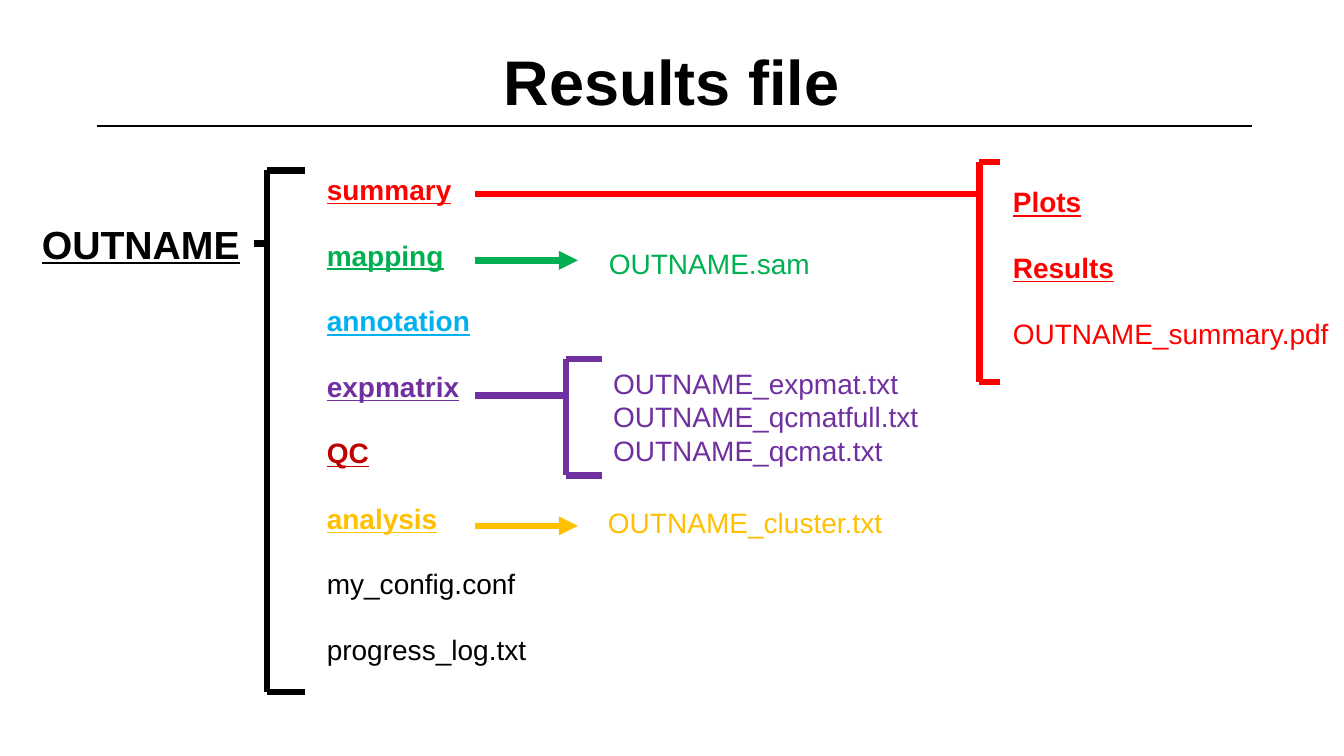
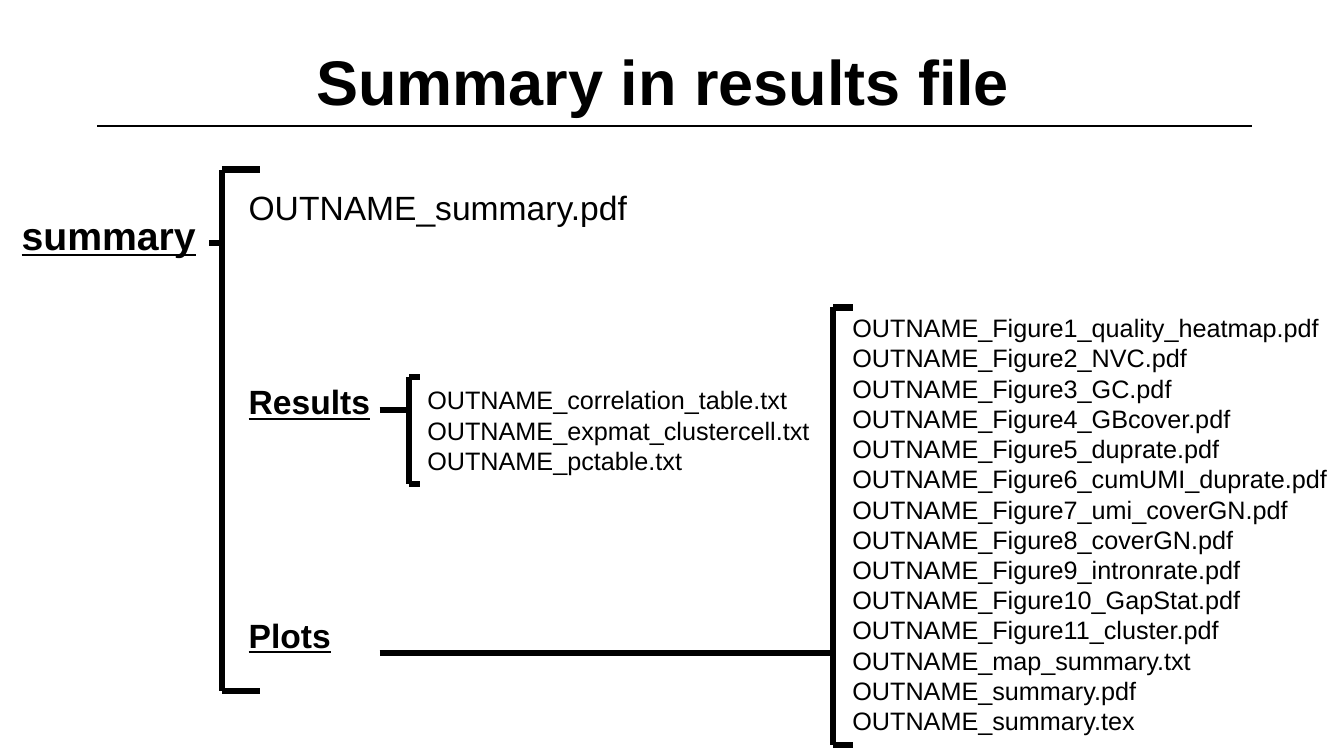
from lxml.etree import SubElement
from pptx import Presentation
from pptx.dml.color import RGBColor
from pptx.enum.shapes import MSO_CONNECTOR
from pptx.enum.text import MSO_ANCHOR, MSO_AUTO_SIZE, PP_ALIGN
from pptx.oxml.ns import qn
from pptx.util import Inches, Pt

COLORS = {
    "black": "000000", "red": "FF0000", "green": "00B050", "blue": "00B0F0",
    "purple": "7030A0", "crimson": "C00000", "gold": "FFC000",
}
FONT = "Arial"
LINE_HEIGHT = 1.15

# Grid of 160 columns by 90 square rows; all lengths below are in cells
COLUMNS, ROWS = 160, 90
CELL = Inches(7.5) // ROWS

presentation = Presentation()
presentation.slide_width = COLUMNS * CELL
presentation.slide_height = ROWS * CELL


def add_line(slide, color, start, end, width=4.5, arrow=False):
    points = [round(value * CELL) for value in (*start, *end)]
    line = slide.shapes.add_connector(MSO_CONNECTOR.STRAIGHT, *points)
    line.line.color.rgb = RGBColor.from_string(COLORS[color])
    line.line.width = Pt(width)
    if arrow:
        SubElement(line.line._get_or_add_ln(), qn("a:tailEnd"), type="triangle")
    SubElement(line._element.spPr, qn("a:effectLst"))
    return line


def write_names(frame, size, entries):
    """Folders are bold and underlined; files, which have an extension, are plain."""
    frame.word_wrap = True
    frame.auto_size = MSO_AUTO_SIZE.NONE
    for index, (name, color, gap) in enumerate(entries):
        paragraph = frame.paragraphs[0] if index == 0 else frame.add_paragraph()
        properties = paragraph._p.get_or_add_pPr()
        properties.set("marL", "0")
        properties.set("indent", "0")
        SubElement(properties, qn("a:buNone"))
        paragraph.alignment = PP_ALIGN.LEFT
        paragraph.space_before = Pt(round(gap * size * LINE_HEIGHT, 2))
        run = paragraph.add_run()
        run.text = name
        run.font.name = FONT
        run.font.size = Pt(size)
        run.font.bold = run.font.underline = "." not in name
        run.font.color.rgb = RGBColor.from_string(COLORS[color])


# Slide content
# panel: (left, top, width, height), text size, [(name, colour, blank lines above)]
# bracket: colour, column, top, bottom, arm length, stem start, stem row
# arrow: colour, row
figures = ["Figure1_quality_heatmap.pdf", "Figure2_NVC.pdf", "Figure3_GC.pdf",
           "Figure4_GBcover.pdf", "Figure5_duprate.pdf",
           "Figure6_cumUMI_duprate.pdf", "Figure7_umi_coverGN.pdf",
           "Figure8_coverGN.pdf", "Figure9_intronrate.pdf",
           "Figure10_GapStat.pdf", "Figure11_cluster.pdf",
           "map_summary.txt", "summary.pdf", "summary.tex"]
matrices = ["expmat.txt", "qcmatfull.txt", "qcmat.txt"]
tables = ["correlation_table.txt", "expmat_clustercell.txt", "pctable.txt"]

slides = [
    {
        "title": "Results file",
        "body": ((37.7, 19.9, 31.9, 61.8), 20, [
            ("summary", "red", 0), ("mapping", "green", 1),
            ("annotation", "blue", 1), ("expmatrix", "purple", 1),
            ("QC", "crimson", 1), ("analysis", "gold", 1),
            ("my_config.conf", "black", 1), ("progress_log.txt", "black", 1)]),
        "panels": [
            ((3.8, 25.6, 26.8, 6.8), 28, [("OUTNAME", "black", 0)]),
            ((119.4, 21.4, 40.6, 21.4), 20, [
                ("Plots", "red", 0), ("Results", "red", 1),
                ("OUTNAME_summary.pdf", "red", 1)]),
            ((71.3, 28.7, 28, 5.3), 20, [("OUTNAME.sam", "green", 0)]),
            ((71.8, 43, 40, 13.3), 20,
             [(f"OUTNAME_{name}", "purple", 0) for name in matrices]),
            ((71.2, 59.6, 36, 5.3), 20, [("OUTNAME_cluster.txt", "gold", 0)])],
        "brackets": [
            ("black", 31.8, 20.3, 82.4, 4.5, 30.2, 29),
            ("red", 116.6, 19.3, 45.5, 2.5, 56.5, 23.1),
            ("purple", 67.4, 42.7, 56.6, 4.3, 56.5, 47.1)],
        "arrows": [("green", 31), ("gold", 62.6)],
    },
    {
        "title": "Summary in results file ",
        "body": ((28.4, 21.6, 48.1, 59.4), 24, [
            ("OUTNAME_summary.pdf", "black", 0), ("Results", "black", 4),
            ("Plots", "black", 5)]),
        "panels": [
            ((1.4, 24.6, 26, 6.8), 28, [("summary", "black", 0)]),
            ((49.7, 45.2, 49.7, 12.1), 18,
             [(f"OUTNAME_{name}", "black", 0) for name in tables]),
            ((100.3, 36.6, 59.7, 52.1), 18,
             [(f"OUTNAME_{name}", "black", 0) for name in figures])],
        "brackets": [
            ("black", 26.4, 20.2, 82.3, 4.5, 24.9, 28.9),
            ("black", 48.7, 44.9, 57.6, 1.3, 45.2, 48.8),
            ("black", 99.2, 36.6, 88.7, 2.4, 45.2, 77.7)],
        "arrows": [],
    },
]

# Shared layout: title position, and below it a rule drawn once
layout = presentation.slide_layouts.get_by_name("Title and Content")
layout_title = next(shape for shape in layout.placeholders
                    if shape.placeholder_format.idx == 0)
layout_title.left, layout_title.top, layout_title.width, layout_title.height = (
    round(value * CELL) for value in (11.3, 4, 137.3, 11))

for number, content in enumerate(slides):
    slide = presentation.slides.add_slide(layout)
    if number == 0:
        rule = add_line(slide, "black", (11.6, 15), (149, 15), width=2)
        layout.shapes._spTree.append(rule._element)

    # Title
    title_frame = slide.shapes.title.text_frame
    title_frame.auto_size = MSO_AUTO_SIZE.NONE
    title_frame.vertical_anchor = MSO_ANCHOR.MIDDLE
    paragraph = title_frame.paragraphs[0]
    paragraph.alignment = PP_ALIGN.CENTER
    run = paragraph.add_run()
    run.text = content["title"]
    run.font.name = FONT
    run.font.size = Pt(45)
    run.font.bold = True
    run.font.color.rgb = RGBColor.from_string(COLORS["black"])

    # Main list
    box, size, entries = content["body"]
    body = slide.placeholders[1]
    body.left, body.top, body.width, body.height = (
        round(value * CELL) for value in box)
    write_names(body.text_frame, size, entries)

    # Root folder and folder contents
    for box, size, entries in content["panels"]:
        panel = slide.shapes.add_textbox(*(round(value * CELL) for value in box))
        write_names(panel.text_frame, size, entries)

    # Brackets: spine, two arms and the stem leading in
    for color, column, top, bottom, arm, stem, row in content["brackets"]:
        for start, end in [((column, top), (column, bottom)),
                           ((column, top), (column + arm, top)),
                           ((column, bottom), (column + arm, bottom)),
                           ((stem, row), (column, row))]:
            add_line(slide, color, start, end)

    # Arrows to single files
    for color, row in content["arrows"]:
        add_line(slide, color, (56.5, row), (68.8, row), arrow=True)

presentation.save("out.pptx")
